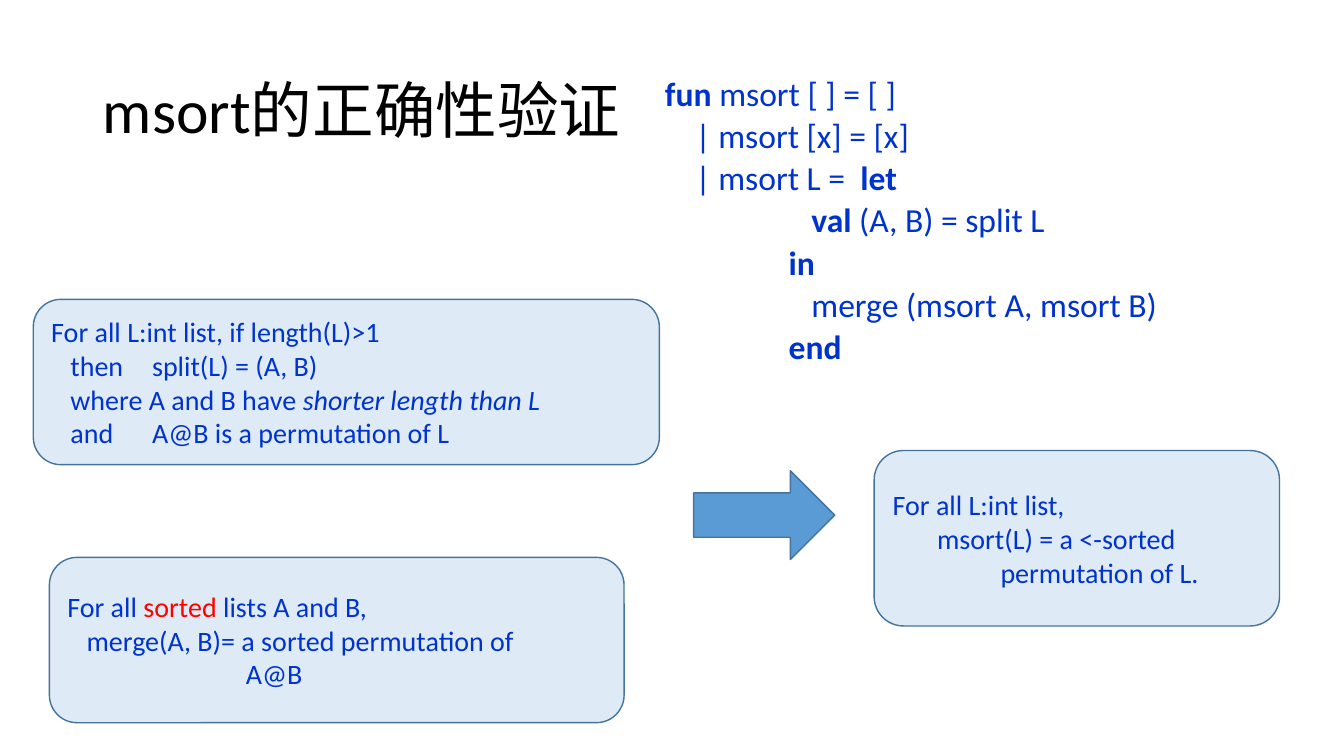
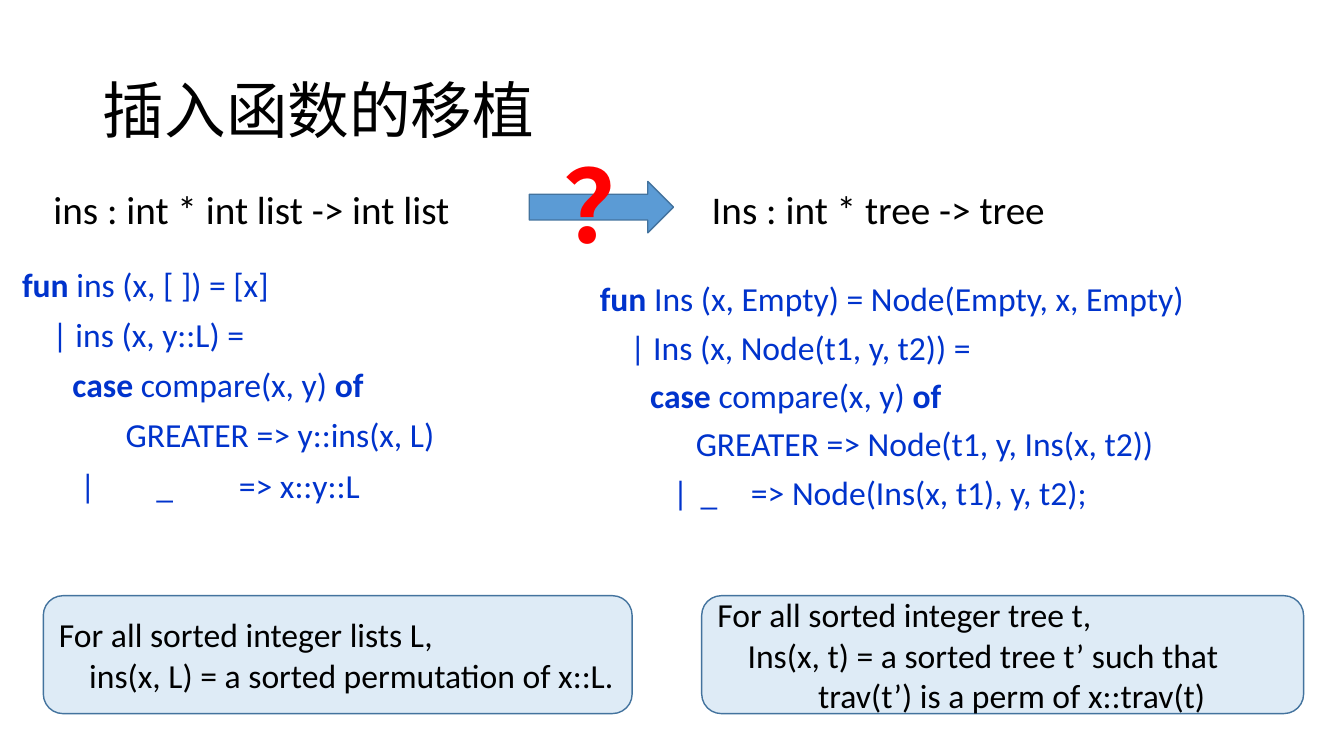
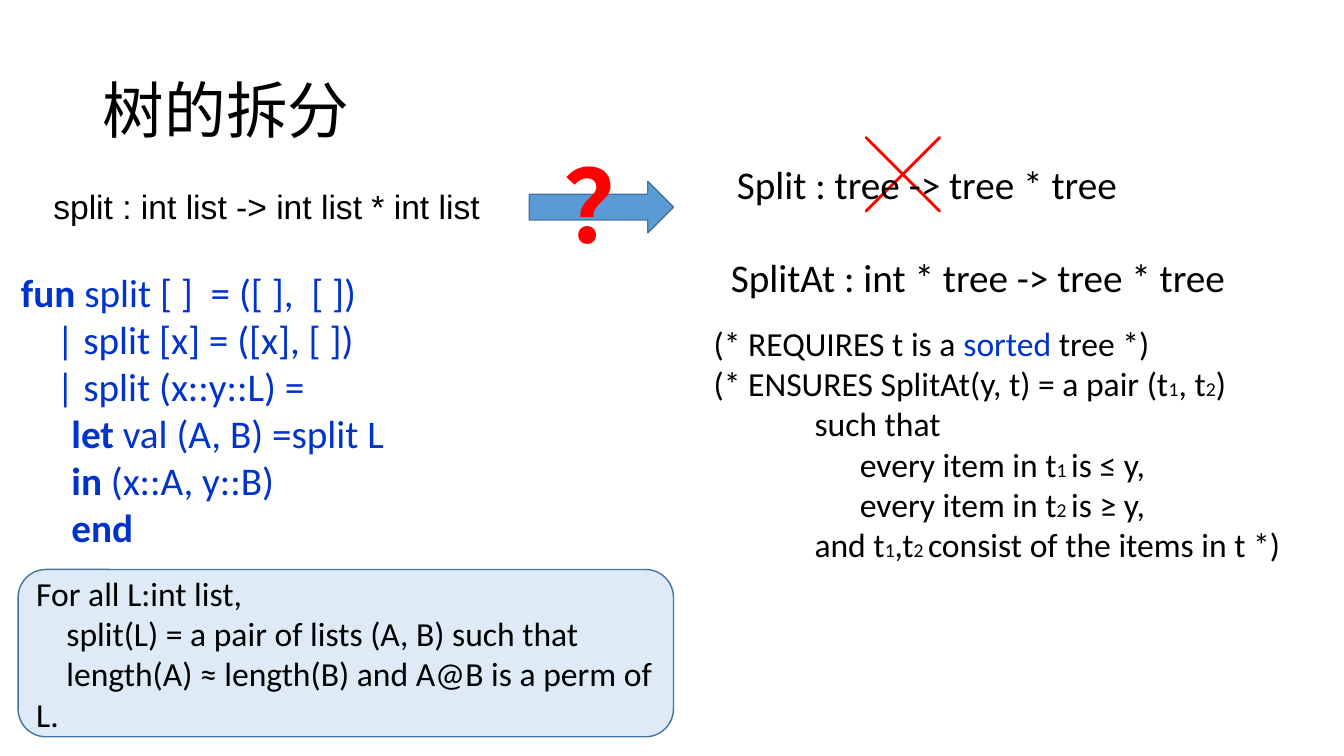
from dataclasses import dataclass

from lxml import etree
from pptx import Presentation
from pptx.dml.color import RGBColor
from pptx.enum.lang import MSO_LANGUAGE_ID
from pptx.enum.shapes import MSO_SHAPE
from pptx.enum.text import MSO_ANCHOR, MSO_AUTO_SIZE, PP_ALIGN
from pptx.oxml.ns import qn
from pptx.util import Inches, Pt

ROUNDED = MSO_SHAPE.ROUNDED_RECTANGLE
RIGHT_ARROW = MSO_SHAPE.RIGHT_ARROW
MIDDLE = MSO_ANCHOR.MIDDLE
TOP = MSO_ANCHOR.TOP
LEFT = PP_ALIGN.LEFT
NO_AUTOFIT = MSO_AUTO_SIZE.NONE
CHINESE = MSO_LANGUAGE_ID.SIMPLIFIED_CHINESE
TITLE_AND_CONTENT = 1
TITLE_ONLY = 5


@dataclass(frozen=True)
class Theme:
    black: str = "000000"
    blue: str = "0033CC"
    red: str = "FF0000"
    panel: str = "DEEBF6"
    arrow: str = "5B9BD5"
    outline: str = "43739E"
    font: str = "Calibri"
    plain_font: str = "Arial"
    symbol_font: str = "Noto Sans CJK JP"
    title: int = 44
    signature: int = 28
    text: int = 24
    note: int = 20
    subscript: int = 14
    question: int = 72
    cross: int = 54


THEME = Theme()


@dataclass(frozen=True)
class Area:
    left: float
    top: float
    width: float
    height: float

    def lengths(self) -> tuple:
        return tuple(Inches(v) for v in (self.left, self.top, self.width, self.height))


@dataclass(frozen=True)
class Span:
    text: str
    bold: bool = False
    italic: bool = False
    color: str | None = None
    size: int | None = None


@dataclass(frozen=True)
class Line:
    spans: tuple
    indent: float = 0


@dataclass(frozen=True)
class Style:
    size: int = THEME.text
    color: str = THEME.black
    font: str = THEME.font
    bold: bool = False
    spacing: float = 1.0
    before: int = 0
    tabs: tuple = (1, 2, 3)


CODE = Style(color=THEME.blue)
NOTE = Style(size=THEME.note, color=THEME.blue, tabs=(1.12,))
SIGNATURE = Style(size=THEME.signature)


def line(*spans, indent: float = 0) -> Line:
    return Line(spans, indent)


def key(text: str) -> Span:
    return Span(text, bold=True)


def sub(text: str) -> Span:
    return Span(text, size=THEME.subscript)


def set_layout(para, style: Style, indent: float) -> None:
    properties = para._p.get_or_add_pPr()
    properties.set("marL", "0")
    properties.set("indent", str(Inches(indent)))
    etree.SubElement(properties, qn("a:buNone"))
    stops = etree.SubElement(properties, qn("a:tabLst"))
    for position in style.tabs:
        etree.SubElement(stops, qn("a:tab"), pos=str(Inches(position)), algn="l")
    para.alignment = LEFT
    para.line_spacing = style.spacing


def add_span(para, span, style: Style) -> None:
    if isinstance(span, str):
        span = Span(span)
    run = para.add_run()
    run.text = span.text
    font = run.font
    font.name = style.font
    font.size = Pt(span.size or style.size)
    font.bold = span.bold or style.bold
    font.italic = span.italic
    font.color.rgb = RGBColor.from_string(span.color or style.color)
    font.language_id = CHINESE
    if style.font == THEME.symbol_font:
        etree.SubElement(run._r.get_or_add_rPr(), qn("a:ea"), typeface=style.font)


def write(box, lines: list[Line], style: Style, anchor=TOP) -> None:
    frame = box.text_frame
    frame.word_wrap = True
    frame.auto_size = NO_AUTOFIT
    frame.vertical_anchor = anchor
    for number, item in enumerate(lines):
        para = frame.add_paragraph() if number else frame.paragraphs[0]
        set_layout(para, style, item.indent)
        para.space_before = Pt(style.before if number else 0)
        for span in item.spans:
            add_span(para, span, style)


def place(box, area: Area) -> None:
    box.left, box.top, box.width, box.height = area.lengths()


def add_page(deck, title: str, layout: int = TITLE_ONLY):
    page = deck.slides.add_slide(deck.slide_layouts[layout])
    place(page.shapes.title, Area(0.92, 0.4, 11.5, 1.45))
    write(page.shapes.title, [line(title)], Style(size=THEME.title, spacing=0.9), MIDDLE)
    return page


def add_text(page, area: Area, lines: list[Line], style: Style) -> None:
    write(page.shapes.add_textbox(*area.lengths()), lines, style)


def add_outlined(page, kind, area: Area, fill: str):
    shape = page.shapes.add_shape(kind, *area.lengths())
    shape.shadow.inherit = False
    shape.fill.solid()
    shape.fill.fore_color.rgb = RGBColor.from_string(fill)
    shape.line.color.rgb = RGBColor.from_string(THEME.outline)
    shape.line.width = Pt(1)
    return shape


def add_panel(page, area: Area, lines: list[Line], style: Style = Style()) -> None:
    write(add_outlined(page, ROUNDED, area, THEME.panel), lines, style, MIDDLE)


def add_arrow(page, area: Area) -> None:
    add_outlined(page, RIGHT_ARROW, area, THEME.arrow)


def add_questioned_arrow(page) -> None:
    add_arrow(page, Area(5.25, 1.8, 1.43, 0.51))
    style = Style(THEME.question, THEME.red, THEME.plain_font, bold=True)
    add_text(page, Area(5.49, 1.37, 0.66, 1.31), [line("？")], style)


def build_msort_page(deck) -> None:
    page = add_page(deck, "msort的正确性验证", TITLE_AND_CONTENT)
    add_panel(page, Area(0.33, 2.97, 6.21, 1.64), [
        line("For all L:int list, if length(L)>1"),
        line("then\tsplit(L) = (A, B)", indent=0.19),
        line("where A and B have ", Span("shorter length than L", italic=True), indent=0.19),
        line("and\tA@B is a permutation of L", indent=0.19),
    ], NOTE)
    add_panel(page, Area(0.49, 5.53, 5.7, 1.64), [
        line("For all ", Span("sorted", color=THEME.red), " lists A and B,"),
        line("merge(A, B)= a sorted permutation of", indent=0.19),
        line("A@B", indent=1.77),
    ], NOTE)
    add_panel(page, Area(8.67, 4.47, 4.02, 1.74), [
        line("For all L:int list,"),
        line("msort(L) = a <-sorted", indent=0.44),
        line("permutation of L.", indent=1.07),
    ], NOTE)
    add_arrow(page, Area(6.88, 4.67, 1.4, 0.88))
    body = page.placeholders[1]
    place(body, Area(6.42, 0.78, 6.85, 3.04))
    write(body, [
        line(key(" fun "), "msort [ ] = [ ]"),
        line("     | msort [x] = [x]"),
        line("     | msort L =  ", key("let")),
        line(key("\t\t       val "), "(A, B) = split L"),
        line(key("\t\t    in")),
        line("             \t       merge (msort A, msort B)"),
        line(key("\t\t    end")),
    ], Style(color=THEME.blue, spacing=0.7, before=10))


def build_insert_page(deck) -> None:
    page = add_page(deck, "插入函数的移植")
    add_text(page, Area(0.12, 2.61, 5.65, 2.27), [
        line(key("fun "), "ins (x, [ ]) = [x]"),
        line("    | ins (x, y::L) ="),
        line(key("\tcase "), "compare(x, y) ", key("of")),
        line("\t       GREATER => y::ins(x, L)"),
        line("\t |        _ \t  => x::y::L"),
    ], Style(color=THEME.blue, spacing=0.9, before=10))
    add_text(page, Area(0.43, 1.79, 5.02, 0.57),
             [line("ins : int * int list -> int list")], SIGNATURE)
    add_panel(page, Area(0.43, 5.91, 5.84, 1.17), [
        line("For all sorted integer lists L,"),
        line("ins(x, L) = a sorted permutation of x::L.", indent=0.3),
    ])
    add_panel(page, Area(6.96, 5.91, 5.97, 1.17), [
        line("For all sorted integer tree t,"),
        line("Ins(x, t) = a sorted tree t’ such that", indent=0.3),
        line("trav(t’) is a perm of x::trav(t)", indent=1),
    ])
    add_text(page, Area(6.96, 1.79, 5.02, 0.57),
             [line("Ins : int * tree -> tree")], SIGNATURE)
    add_questioned_arrow(page)
    add_text(page, Area(5.85, 2.63, 7.25, 2.52), [
        line(key("fun"), " Ins (x, Empty) = Node(Empty, x, Empty)"),
        line("    | Ins (x, Node(t1, y, t2)) ="),
        line(key("\tcase"), " compare(x, y) ", key("of")),
        line("\t      GREATER => Node(t1, y, Ins(x, t2))"),
        line("\t   | \t_ \t=> Node(Ins(x, t1), y, t2);"),
    ], Style(color=THEME.blue, spacing=1.2))


def build_split_page(deck) -> None:
    page = add_page(deck, "树的拆分")
    add_text(page, Area(0.11, 2.61, 5.65, 2.27), [
        line(key("fun "), "split [ ]  = ([ ],  [ ])"),
        line("    | split [x] = ([x], [ ])"),
        line("    | split (x::y::L) ="),
        line(key("\tlet "), "val (A, B) =split L"),
        line(key("\tin "), "(x::A, y::B)"),
        line(key("\tend")),
    ], Style(size=THEME.signature, color=THEME.blue))
    add_text(page, Area(0.43, 1.79, 5.02, 0.51),
             [line("split : int list -> int list * int list")], Style(font=THEME.plain_font))
    add_panel(page, Area(0.18, 5.65, 6.5, 1.66), [
        line("For all L:int list,"),
        line("split(L) = a pair of lists (A, B) such that", indent=0.3),
        line("length(A) ≈ length(B) and A@B is a perm of L.", indent=0.3),
    ])
    add_text(page, Area(7.15, 2.46, 5.65, 0.57),
             [line("SplitAt : int * tree -> tree * tree")], SIGNATURE)
    add_questioned_arrow(page)
    add_text(page, Area(8.49, 1.22, 0.71, 1.01), [line("╳")],
             Style(THEME.cross, THEME.red, THEME.symbol_font, bold=True))
    add_text(page, Area(7.21, 1.54, 5.02, 0.57),
             [line("Split : tree -> tree * tree")], SIGNATURE)
    add_text(page, Area(6.98, 3.15, 6.22, 2.52), [
        line("(* REQUIRES t is a ", Span("sorted", color=THEME.blue), " tree *)"),
        line("(* ENSURES SplitAt(y, t) = a pair (t", sub("1"), ", t", sub("2"), ")"),
        line("such that", indent=1),
        line("every item in t", sub("1 "), "is ≤ y,", indent=1.45),
        line("every item in t", sub("2 "), "is ≥ y,", indent=1.45),
        line("and t", sub("1"), ",t", sub("2 "), "consist of the items in t *)", indent=1),
    ], Style())


def main() -> None:
    deck = Presentation()
    deck.slide_width = Inches(13.33)
    deck.slide_height = Inches(7.5)
    build_msort_page(deck)
    build_insert_page(deck)
    build_split_page(deck)
    deck.save("out.pptx")


if __name__ == "__main__":
    main()
